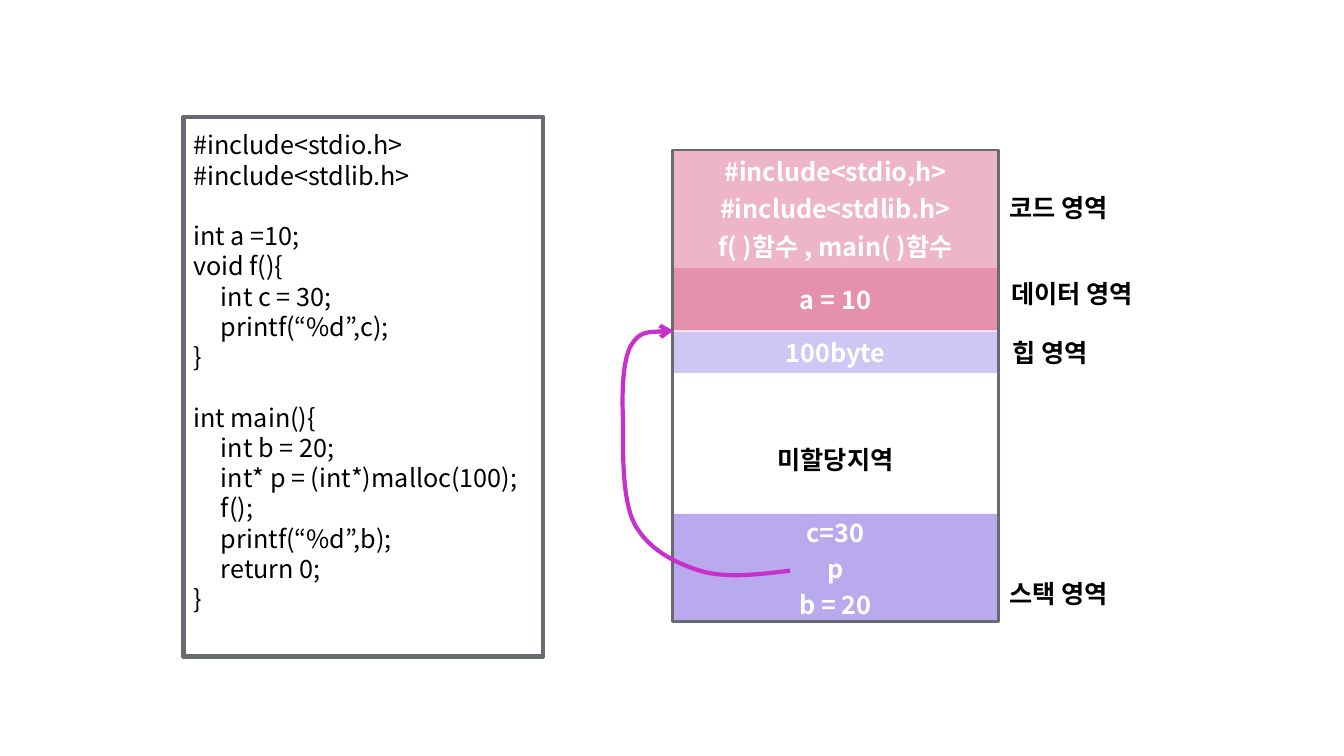
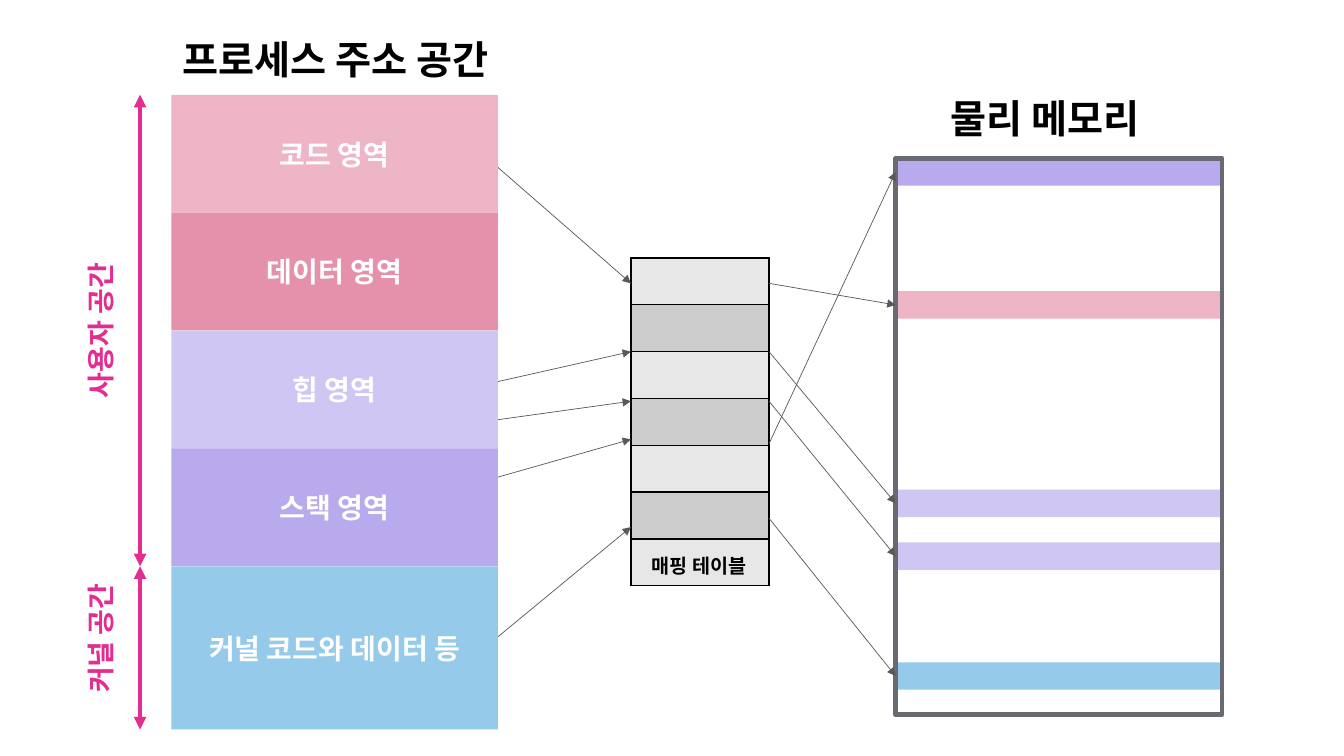
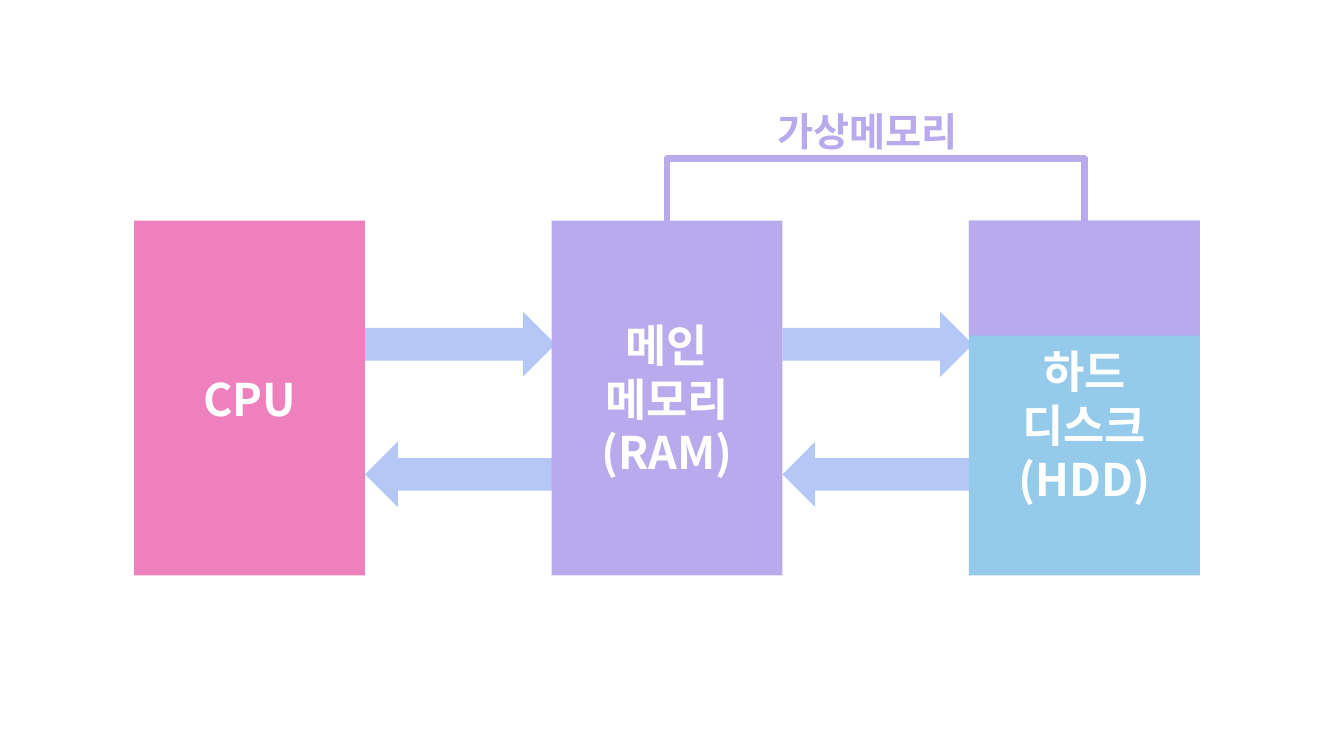
from itertools import accumulate

from pptx import Presentation
from pptx.dml.color import RGBColor
from pptx.enum.shapes import MSO_CONNECTOR, MSO_SHAPE
from pptx.enum.text import MSO_ANCHOR as Anchor, PP_ALIGN as Align
from pptx.oxml.ns import qn
from pptx.oxml.xmlchemy import OxmlElement
from pptx.util import Cm, Pt

# Shared style
FONT = "Noto Sans CJK KR"
BLACK = RGBColor(0x00, 0x00, 0x00)
WHITE = RGBColor(0xFF, 0xFF, 0xFF)
FRAME = RGBColor(0x67, 0x6A, 0x73)
ARROW_GRAY = RGBColor(0x59, 0x59, 0x59)
CODE_PINK = RGBColor(0xEE, 0xB5, 0xC7)
DATA_PINK = RGBColor(0xE6, 0x91, 0xAB)
HEAP_LILAC = RGBColor(0xD0, 0xC6, 0xF3)
STACK_PURPLE = RGBColor(0xB8, 0xAA, 0xED)
KERNEL_BLUE = RGBColor(0x95, 0xCA, 0xEA)
POINTER = RGBColor(0xC8, 0x30, 0xCC)
MAGENTA = RGBColor(0xE3, 0x2D, 0x91)
CPU_PINK = RGBColor(0xEE, 0x81, 0xBD)
BUS_BLUE = RGBColor(0xB5, 0xC8, 0xF5)
ROW_GRAYS = (RGBColor(0xE7, 0xE7, 0xE7), RGBColor(0xCC, 0xCC, 0xCC))
COLUMN_WIDTH = 8.23

# Slide 1: program and its memory; code lines are (indent level, text)
CODE_BLOCKS = [
    [(0, "#include<stdio.h>"), (0, "#include<stdlib.h>")],
    [(0, "int a =10;"), (0, "void f(){"), (1, "int c = 30;"),
     (1, "printf(“%d”,c);"), (0, "}")],
    [(0, "int main(){"), (1, "int b = 20;"),
     (1, "int* p = (int*)malloc(100);"), (1, "f();"),
     (1, "printf(“%d”,b);"), (1, "return 0;"), (0, "}")],
]
MEMORY_LEFT = 16.94
MEMORY = [  # top, height, colour, lines
    (3.78, 2.97, CODE_PINK,
     ["#include<stdio,h>", "#include<stdlib.h>", "f( )함수 , main( )함수"]),
    (6.76, 1.57, DATA_PINK, ["a = 10"]),
    (8.36, 1.04, HEAP_LILAC, ["100byte"]),
    (12.95, 0.91, STACK_PURPLE, ["c=30"]),
    (13.86, 0.91, STACK_PURPLE, ["p"]),
    (14.77, 0.91, STACK_PURPLE, ["b = 20"]),
]
MEMORY_LABELS = [  # text, left, top, width
    ("코드 영역", 24.74, 4.72, 3.89),
    ("데이터 영역", 24.74, 6.88, 4.57),
    ("힙 영역", 24.74, 8.36, 3.43),
    ("스택 영역", 24.74, 14.45, 3.89),
    ("미할당지역", 19.0, 11.07, 4.11),
]
POINTER_CURVE = [  # start, then two handles and an end for each arc
    (19.91, 14.38),
    (19.1, 14.48), (18.29, 14.58), (17.63, 14.38),
    (16.97, 14.17), (16.31, 13.82), (15.98, 13.18),
    (15.67, 12.55), (15.7, 11.33), (15.7, 10.57),
    (15.67, 9.83), (15.7, 9.07), (15.9, 8.71),
    (16.13, 8.33), (16.6, 8.36), (16.97, 8.33),
]

# Slide 2: address mapping
TITLES = [("프로세스 주소 공간", 2.92, 0.66), ("물리 메모리", 20.8, 2.16)]
SECTIONS_TOP = 2.39
SECTIONS = [  # text, height, colour
    ("코드 영역", 2.97, CODE_PINK),
    ("데이터 영역", 2.97, DATA_PINK),
    ("힙 영역", 2.97, HEAP_LILAC),
    ("스택 영역", 2.97, STACK_PURPLE),
    ("커널 코드와 데이터 등", 4.11, KERNEL_BLUE),
]
SPACES = [  # text, first and last y of the arrow, text centre, text width
    ("사용자 공간", 2.39, 14.27, 8.33, 8.03),
    ("커널 공간", 14.27, 18.38, 16.08, 4.11),
]
TABLE_LEFT, TABLE_TOP, TABLE_WIDTH = 15.9, 6.5, 3.48
ROW_COUNT, ROW_HEIGHT = 7, 1.18
LOOKUPS = [(3, 7.14), (9.93, 8.86), (10.77, 10.11), (12.42, 11.07), (17.2, 13.28)]
PAGES = [  # top, colour, y where its arrow leaves the table
    (7.34, CODE_PINK, 7.14),
    (12.34, HEAP_LILAC, 8.86),
    (13.67, HEAP_LILAC, 10.11),
    (3.99, STACK_PURPLE, 11.18),
    (16.69, KERNEL_BLUE, 13.06),
]

# Slide 3: CPU, memory and disk
DEVICES = [  # lines, colour, top inset
    (["CPU"], CPU_PINK, 0.13),
    (["메인", "메모리", "(RAM)"], STACK_PURPLE, 0.13),
    (["하드", "디스크(HDD)"], KERNEL_BLUE, 1.47),
]
DEVICE_LEFT, DEVICE_TOP, DEVICE_PITCH = 3.38, 5.56, 10.52
DEVICE_WIDTH, DEVICE_HEIGHT = 5.82, 8.94
BUSES = [(MSO_SHAPE.RIGHT_ARROW, 7.85), (MSO_SHAPE.LEFT_ARROW, 11.13)]


def write_text(shape, lines, *, size=18, color=WHITE, bold=True, align=Align.CENTER,
               spacing=None, gap=0, anchor=Anchor.MIDDLE, inset=0.13, wrap=True):
    frame = shape.text_frame
    frame.word_wrap = wrap
    frame.vertical_anchor = anchor
    frame.margin_top = Cm(inset)
    for index, line in enumerate(lines):
        paragraph = frame.add_paragraph() if index else frame.paragraphs[0]
        paragraph.alignment = align
        paragraph.line_spacing = spacing
        if index:
            paragraph.space_before = Pt(gap)
        run = paragraph.add_run()
        run.text = line
        font = run.font
        font.name, font.size, font.bold = FONT, Pt(size), bold
        font.color.rgb = color
        east_asian = OxmlElement("a:ea")
        east_asian.set("typeface", FONT)
        font._element.find(qn("a:latin")).addnext(east_asian)


def add_label(slide, text, left, top, width, height=1.12, **text_format):
    label = slide.shapes.add_textbox(Cm(left), Cm(top), Cm(width), Cm(height))
    write_text(label, [text], **text_format)
    return label


def style_outline(shape, color, points):
    shape.shadow.inherit = False
    shape.fill.background()
    shape.line.color.rgb = color
    shape.line.width = Pt(points)


def add_block(slide, left, top, width, height, color, kind=MSO_SHAPE.RECTANGLE):
    block = slide.shapes.add_shape(kind, Cm(left), Cm(top), Cm(width), Cm(height))
    block.shadow.inherit = False
    block.fill.solid()
    block.fill.fore_color.rgb = color
    block.line.fill.background()
    return block


def add_frame(slide, left, top, width, height, points):
    frame = add_block(slide, left, top, width, height, WHITE)
    style_outline(frame, FRAME, points)
    return frame


def add_outline(slide, points, color, width):
    corners = [(Cm(x), Cm(y)) for x, y in points]
    builder = slide.shapes.build_freeform(*corners[0])
    builder.add_line_segments(corners[1:], close=False)
    outline = builder.convert_to_shape()
    style_outline(outline, color, width)
    return outline


def bend_outline(outline):
    """Turn each three line segments into one cubic arc."""
    segments = outline._element.findall(".//" + qn("a:lnTo"))
    for start in range(0, len(segments), 3):
        arc = OxmlElement("a:cubicBezTo")
        segments[start].addprevious(arc)
        for segment in segments[start:start + 3]:
            arc.append(segment[0])
            segment.getparent().remove(segment)


def add_arrowheads(shape, kind, ends=("tailEnd",)):
    line = shape.line._get_or_add_ln()
    for end in ends:
        head = OxmlElement(f"a:{end}")
        head.set("type", kind)
        line.append(head)


def add_arrow(slide, start, end, color=ARROW_GRAY, points=0.5, ends=("tailEnd",)):
    arrow = slide.shapes.add_connector(
        MSO_CONNECTOR.STRAIGHT, *(Cm(value) for value in (*start, *end)))
    arrow.line.color.rgb = color
    arrow.line.width = Pt(points)
    add_arrowheads(arrow, "triangle", ends)
    arrow._element.spPr.append(OxmlElement("a:effectLst"))
    return arrow


def style_cell(cell, color):
    properties = cell._tc.get_or_add_tcPr()
    for side in ("lnL", "lnR", "lnT", "lnB"):
        border = OxmlElement(f"a:{side}")
        border.set("w", str(Pt(1)))
        fill = OxmlElement("a:solidFill")
        black = OxmlElement("a:srgbClr")
        black.set("val", str(BLACK))
        fill.append(black)
        border.append(fill)
        properties.append(border)
    cell.fill.solid()
    cell.fill.fore_color.rgb = color


def build_program_memory(slide):
    # Source code
    listing = add_frame(slide, 4.62, 2.95, 9.07, 13.59, 3.25)
    code_lines = [line for block in CODE_BLOCKS for line in block]
    write_text(listing, [text for _, text in code_lines], color=BLACK, bold=False,
               align=Align.LEFT, anchor=Anchor.TOP, inset=0.32)
    paragraphs = listing.text_frame.paragraphs
    for paragraph, (level, _) in zip(paragraphs, code_lines):
        paragraph._p.get_or_add_pPr().set("marL", str(Cm(0.7 * level)))
    for first_line in accumulate(len(block) for block in CODE_BLOCKS[:-1]):
        paragraphs[first_line].space_before = Pt(21.6)

    # Memory column
    for top, height, color, lines in MEMORY:
        block = add_block(slide, MEMORY_LEFT, top, COLUMN_WIDTH, height, color)
        write_text(block, lines, gap=5, inset=0)
        block.text_frame.margin_bottom = 0
    add_frame(slide, MEMORY_LEFT, 3.78, COLUMN_WIDTH, 11.89, 2)
    for text, left, top, width in MEMORY_LABELS:
        add_label(slide, text, left, top, width, color=BLACK, spacing=0.9)

    # Pointer from p to the heap
    pointer = add_outline(slide, POINTER_CURVE, POINTER, 3)
    bend_outline(pointer)
    add_arrowheads(pointer, "arrow")


def build_address_mapping(slide):
    for text, left, top in TITLES:
        add_label(slide, text, left, top, 11.07, 1.78, size=28, color=BLACK, spacing=0.9)

    # Mapping table
    table = slide.shapes.add_table(
        ROW_COUNT, 1, Cm(TABLE_LEFT), Cm(TABLE_TOP),
        Cm(TABLE_WIDTH), Cm(ROW_COUNT * ROW_HEIGHT)).table
    for index, row in enumerate(table.rows):
        row.height = Cm(ROW_HEIGHT)
        style_cell(row.cells[0], ROW_GRAYS[index % 2])
    add_label(slide, "매핑 테이블", 15.49, 13.77, 4.27, 1.02,
              size=14, color=BLACK, spacing=0.9)

    # Process sections, over the hidden starts of their arrows
    for start_y, end_y in LOOKUPS:
        add_arrow(slide, (11.15, start_y), (TABLE_LEFT, end_y))
    top = SECTIONS_TOP
    for text, height, color in SECTIONS:
        section = add_block(slide, 4.32, top, COLUMN_WIDTH, height, color)
        write_text(section, [text], size=20)
        top += height

    # User and kernel spans
    for text, first, last, centre, width in SPACES:
        add_arrow(slide, (3.53, first), (3.53, last), MAGENTA, 3, ("headEnd", "tailEnd"))
        label = add_label(slide, text, 2.57 - width / 2, centre - 0.89, width, 1.78,
                          size=20, color=MAGENTA, spacing=0.9)
        label.rotation = 270

    # Physical memory
    pages = [add_block(slide, 22.57, page_top, COLUMN_WIDTH, 0.69, color)
             for page_top, color, _ in PAGES]
    add_frame(slide, 22.57, 3.99, COLUMN_WIDTH, 14.02, 3.25)
    for page, (page_top, _, start_y) in zip(pages, PAGES):
        arrow = add_arrow(slide, (TABLE_LEFT + TABLE_WIDTH, start_y),
                          (22.57, page_top + 0.34))
        arrow.end_connect(page, 1)


def build_virtual_memory(slide):
    lefts = [DEVICE_LEFT + index * DEVICE_PITCH for index in range(len(DEVICES))]
    for left in lefts[:-1]:
        for kind, top in BUSES:
            add_block(slide, left + DEVICE_WIDTH, top, 4.8, 1.65, BUS_BLUE, kind)
    for left, (lines, color, inset) in zip(lefts, DEVICES):
        device = add_block(slide, left, DEVICE_TOP, DEVICE_WIDTH, DEVICE_HEIGHT, color)
        write_text(device, lines, size=32, inset=inset)
    add_block(slide, lefts[2], DEVICE_TOP, DEVICE_WIDTH, 2.9, STACK_PURPLE)

    # Bracket over memory and disk
    start, end = (left + DEVICE_WIDTH / 2 for left in lefts[1:])
    add_outline(slide, [(start, DEVICE_TOP), (start, 4), (end, 4), (end, DEVICE_TOP)],
                STACK_PURPLE, 5)
    add_label(slide, "가상메모리", 19.35, 2.57, 5.51, 1.45, size=28, color=STACK_PURPLE,
              align=Align.LEFT, anchor=Anchor.TOP, wrap=False)


def main():
    presentation = Presentation()
    presentation.slide_width, presentation.slide_height = Cm(33.87), Cm(19.05)
    for build in (build_program_memory, build_address_mapping, build_virtual_memory):
        build(presentation.slides.add_slide(presentation.slide_layouts[6]))
    presentation.save("out.pptx")


if __name__ == "__main__":
    main()
